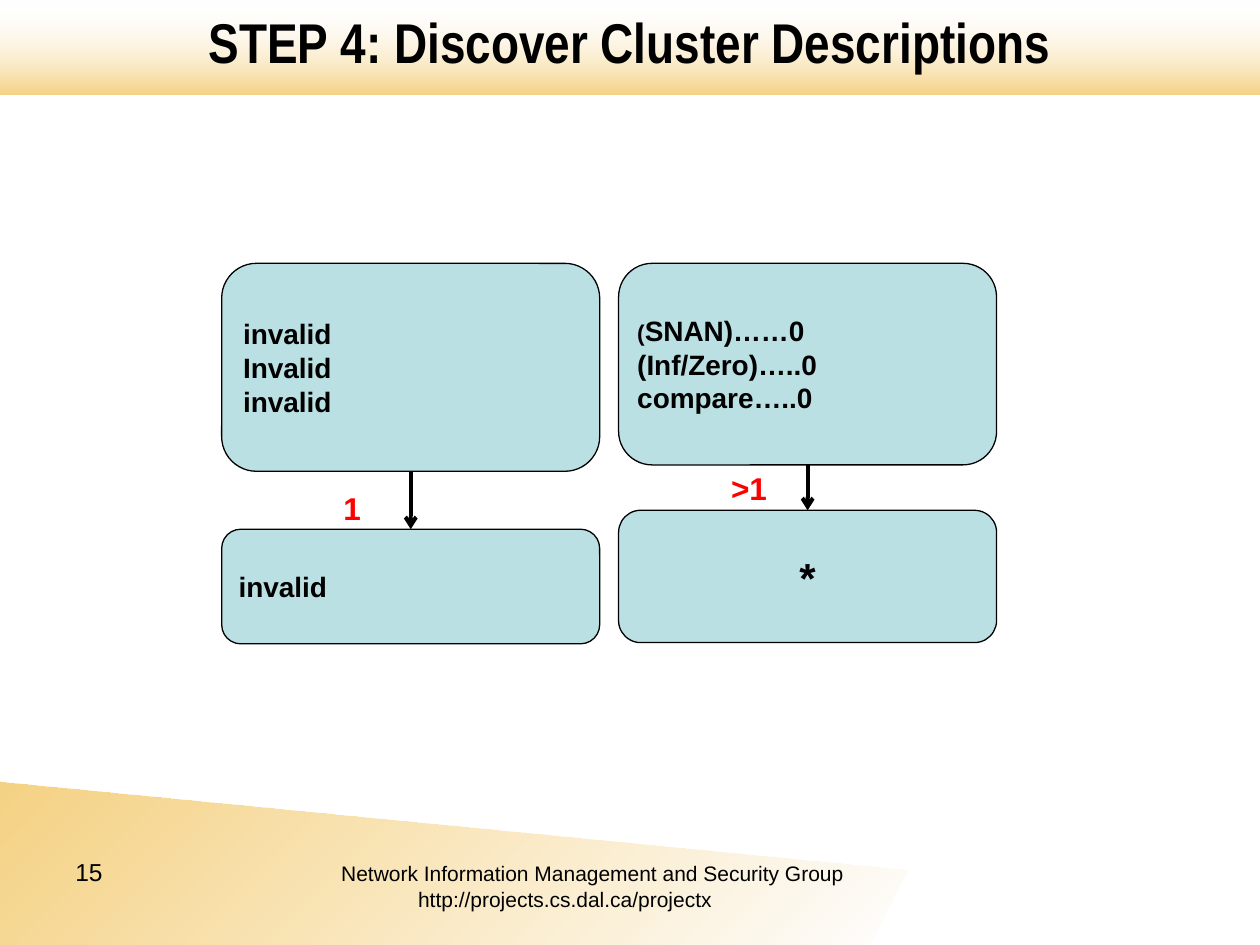
from lxml.etree import SubElement
from pptx import Presentation
from pptx.dml.color import RGBColor
from pptx.enum.shapes import MSO_CONNECTOR as Connector, MSO_SHAPE as Shape
from pptx.enum.text import MSO_ANCHOR as Anchor, PP_ALIGN as Align
from pptx.oxml.ns import qn
from pptx.util import Inches, Pt

COLUMNS, ROWS = 100, 75


def color(hex_string):
    return RGBColor.from_string(hex_string)


def assign(target, values):
    for name, value in values.items():
        setattr(target, name, value)


class SlideBuilder:
    ink, accent, panel, gold, white = "000000", "FF0000", "BBE0E3", "EBA303", "FFFFFF"

    def __init__(self, deck):
        assign(deck, {"slide_width": Inches(10), "slide_height": Inches(7.5)})
        self.column = deck.slide_width / COLUMNS
        self.row = deck.slide_height / ROWS
        self.page = deck.slides.add_slide(deck.slide_layouts[6])
        self.shapes = self.page.shapes

    def place(self, left, top, width, height):
        return [round(left * self.column), round(top * self.row),
                round(width * self.column), round(height * self.row)]

    def set_text(self, box, paras, anchor=Anchor.TOP, align=Align.LEFT, inset=(1, 0.5), **font):
        frame = box.text_frame
        side, edge = round(inset[0] * self.column), round(inset[1] * self.row)
        assign(frame, {"word_wrap": True, "vertical_anchor": anchor,
                       "margin_left": side, "margin_right": side,
                       "margin_top": edge, "margin_bottom": edge})
        style = {"name": "Arial", "bold": True, **font}
        ink = style.pop("ink", self.ink)
        for index, spans in enumerate(paras):
            para = frame.paragraphs[0] if index == 0 else frame.add_paragraph()
            para.alignment = align
            for text, size in spans:
                span = para.add_run()
                span.text = text
                assign(span.font, {**style, "size": Pt(size)})
                span.font.color.rgb = color(ink)
        return frame.paragraphs

    def text(self, area, paras, **style):
        return self.set_text(self.shapes.add_textbox(*self.place(*area)), paras, **style)

    def card(self, area, paras, **style):
        box = self.shapes.add_shape(Shape.ROUNDED_RECTANGLE, *self.place(*area))
        box.shadow.inherit = False
        box.fill.solid()
        box.fill.fore_color.rgb = color(self.panel)
        box.line.color.rgb = color(self.ink)
        box.line.width = Pt(0.75)
        self.set_text(box, paras, anchor=Anchor.MIDDLE, **style)

    def arrow(self, column, top, bottom):
        x, start, _, length = self.place(column, top, 0, bottom - top)
        arrow = self.shapes.add_connector(Connector.STRAIGHT, x, start, x, start + length)
        arrow.line.color.rgb = color(self.ink)
        arrow.line.width = Pt(2.25)
        properties = arrow._element.spPr
        SubElement(properties.find(qn("a:ln")), qn("a:tailEnd"), type="arrow")
        SubElement(properties, qn("a:effectLst"))

    def fade(self, shape, angle, opacities):
        shape.shadow.inherit = False
        shape.line.fill.background()
        shape.fill.gradient()
        shape.fill.gradient_angle = angle
        for stop, shade in zip(shape.fill.gradient_stops, (self.gold, self.white)):
            stop.color.rgb = color(shade)
        gradient = shape._element.spPr.find(qn("a:gradFill"))
        for shade, opacity in zip(gradient.iter(qn("a:srgbClr")), opacities):
            SubElement(shade, qn("a:alpha"), val=str(opacity * 1000))

    def band(self, area, angle, opacities):
        self.fade(self.shapes.add_shape(Shape.RECTANGLE, *self.place(*area)), angle, opacities)

    def wedge(self, points, angle, opacities):
        first, *rest = points
        outline = self.shapes.build_freeform(*first, scale=(self.column, self.row))
        outline.add_line_segments(rest, close=True)
        self.fade(outline.convert_to_shape(), angle, opacities)

    def footer(self, area, number, group, address):
        first, second = self.text(area, [[(f"{number}\t", 14), (group, 12)], [(address, 12)]], bold=False)
        tabs = SubElement(first._p.get_or_add_pPr(), qn("a:tabLst"))
        SubElement(tabs, qn("a:tab"), pos=str(round(21.1 * self.column)), algn="l")
        second._p.get_or_add_pPr().set("marL", str(round(27.2 * self.column)))


def main():
    deck = Presentation()
    slide = SlideBuilder(deck)
    slide.wedge([(0, 75), (0, 62.5), (72.5, 69.4), (68.8, 75)], 315, (49, 51))
    slide.band((0, 0, 100, 7.5), 90, (49, 0))
    slide.footer((5, 67.5, 68.6, 5.2), 15, "Network Information Management and Security Group",
                 "http://projects.cs.dal.ca/projectx")
    slide.text((5, 0, 90, 6.6), [[("STEP 4: Discover Cluster Descriptions", 32)]],
               anchor=Anchor.MIDDLE, align=Align.CENTER, name="Arial Narrow")

    top, width = 20.9, 30
    clusters = [
        {"left": 17.6, "bottom": 37.4, "next": 42, "end": 51.1, "inset": (0.9, 0.5),
         "words": [[("invalid", 16)], [("Invalid", 16)], [("invalid", 16)]],
         "result": [[("invalid", 16)]], "align": Align.LEFT,
         "count": "1", "label": (24.8, 38.3)},
        {"left": 49.1, "bottom": 36.9, "next": 40.5, "end": 51, "inset": (0.7, 0.4),
         "words": [[("(", 13), ("SNAN)……0", 16)], [("(Inf/Zero)…..0", 16)], [("compare…..0", 16)]],
         "result": [[("*", 24)]], "align": Align.CENTER,
         "count": ">1", "label": (56.3, 36.7)},
    ]
    for cluster in clusters:
        left, bottom, below = cluster["left"], cluster["bottom"], cluster["next"]
        slide.arrow(left + width / 2, bottom, below)
        slide.card((left, top, width, bottom - top), cluster["words"], inset=cluster["inset"])
        slide.card((left, below, width, cluster["end"] - below), cluster["result"],
                   inset=cluster["inset"], align=cluster["align"])
        slide.text((*cluster["label"], 6.3, 4), [[(cluster["count"], 18)]],
                   align=Align.CENTER, ink=slide.accent)
    deck.save("out.pptx")


if __name__ == "__main__":
    main()
